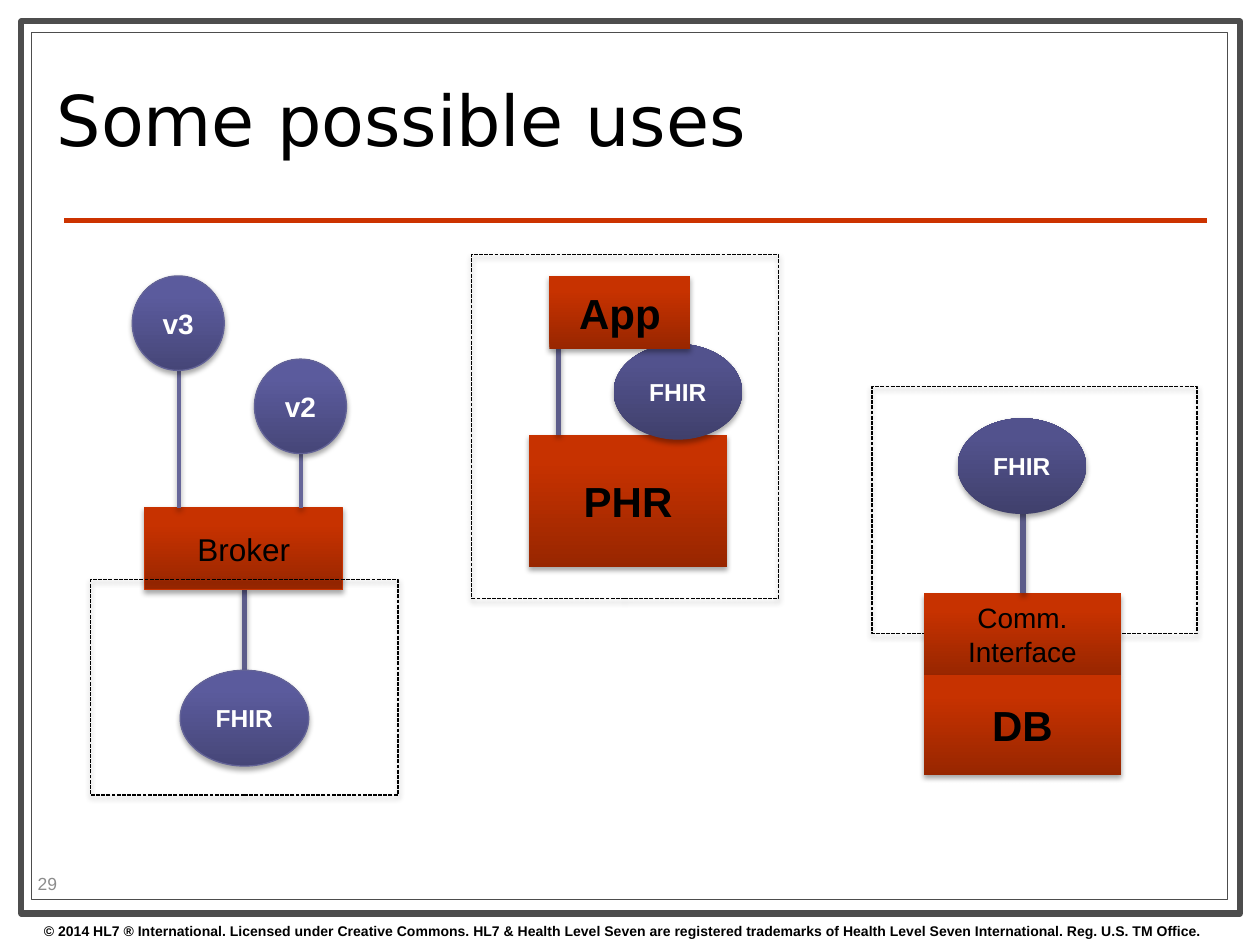
from lxml import etree
from pptx import Presentation
from pptx.dml.color import RGBColor
from pptx.enum.dml import MSO_LINE
from pptx.enum.shapes import MSO_CONNECTOR, MSO_SHAPE
from pptx.enum.text import MSO_ANCHOR, MSO_AUTO_SIZE, PP_ALIGN
from pptx.oxml.ns import qn
from pptx.util import Inches, Pt

RECTANGLE, OVAL = MSO_SHAPE.RECTANGLE, MSO_SHAPE.OVAL
STRAIGHT = MSO_CONNECTOR.STRAIGHT
DASHED = MSO_LINE.SQUARE_DOT
MIDDLE = MSO_ANCHOR.MIDDLE
LEFT, CENTER = PP_ALIGN.LEFT, PP_ALIGN.CENTER
FIXED = MSO_AUTO_SIZE.NONE

# Gradients run from the bottom colour to the top colour
RED = ("982600", "C73200")
PURPLE = ("464678", "5B5B9D")
DARK_PURPLE = ("40406C", "52528D")
FHIR_SIZE = (1.02, 0.76)
BLOCK_WIDTH = 1.57
NOTICE = ("© 2014 HL7 ® International. Licensed under Creative Commons. "
          "HL7 & Health Level Seven are registered trademarks of "
          "Health Level Seven International. Reg. U.S. TM Office.")


def color(hex_value):
    return RGBColor.from_string(hex_value)


def inches(*values):
    return [Inches(value) for value in values]


def within(box, left, top, width, height):
    """Turn offsets inside a region into a box on the page."""
    return box[0] + left, box[1] + top, width, height


def write(shape, text, size, font="Arial", ink="000000", bold=False,
          align=LEFT, anchor=MIDDLE, spacing=None):
    frame = shape.text_frame
    frame.word_wrap = True
    frame.auto_size = FIXED
    frame.vertical_anchor = anchor
    frame.text = text
    for para in frame.paragraphs:
        para.alignment = align
        para.line_spacing = spacing
        para.font.name = font
        para.font.size = Pt(size)
        para.font.bold = bold
        para.font.color.rgb = color(ink)


def set_shadow(shape, opacity=None, distance=1.8):
    """Give a soft shadow below, or none when no opacity is given."""
    effects = etree.SubElement(shape._element.spPr, qn("a:effectLst"))
    if opacity:
        outer = etree.SubElement(
            effects, qn("a:outerShdw"), blurRad=str(Pt(3.1)),
            dist=str(Pt(distance)), dir="5400000", rotWithShape="0")
        black = etree.SubElement(outer, qn("a:srgbClr"), val="000000")
        etree.SubElement(black, qn("a:alpha"), val=str(opacity * 1000))


def add_line(page, start, end, ink, weight):
    line = page.shapes.add_connector(STRAIGHT, *inches(*start, *end))
    line.line.color.rgb = color(ink)
    line.line.width = Pt(weight)
    return line


def add_link(page, box, x, top, bottom, ink="5C5C8A", weight=3):
    line = add_line(page, (box[0] + x, box[1] + top),
                    (box[0] + x, box[1] + bottom), ink, weight)
    set_shadow(line, 35)


def add_node(page, kind, box, text, gradient, size, edge=None, **style):
    node = page.shapes.add_shape(kind, *inches(*box))
    node.fill.gradient()
    node.fill.gradient_angle = 90
    for stop, position, shade in zip(node.fill.gradient_stops, (0, 0.8), gradient):
        stop.position = position
        stop.color.rgb = color(shade)
    if edge:
        node.line.color.rgb = color(edge)
        node.line.width = Pt(0.75)
    else:
        node.line.fill.background()
    set_shadow(node, 35)
    write(node, text, size, align=CENTER, **style)


def add_block(page, box, text, size=24, bold=True, edge=None):
    add_node(page, RECTANGLE, box, text, RED, size, edge, bold=bold)


def add_bubble(page, box, text, size=14, gradient=DARK_PURPLE, edge=None):
    add_node(page, OVAL, box, text, gradient, size, edge, ink="FFFFFF", bold=True)


def add_boundary(page, box):
    boundary = page.shapes.add_shape(RECTANGLE, *inches(*box))
    boundary.fill.background()
    boundary.line.color.rgb = color("000000")
    boundary.line.width = Pt(0.75)
    boundary.line.dash_style = DASHED
    set_shadow(boundary, 38, 1.6)


def add_page_frame(page, box):
    inner = within(box, 0.08, 0.09, box[2] - 0.18, box[3] - 0.2)
    for border, weight in ((box, 3.5), (inner, 0.75)):
        panel = page.shapes.add_shape(RECTANGLE, *inches(*border))
        panel.shadow.inherit = False
        panel.fill.solid()
        panel.fill.fore_color.rgb = color("FFFFFF")
        panel.line.color.rgb = color("4D4D4D")
        panel.line.width = Pt(weight)
    rule_y = box[1] + 1.58
    rule = add_line(page, (box[0] + 0.34, rule_y), (box[0] + 9.41, rule_y), "CC3300", 3)
    set_shadow(rule)


def add_title(page, box):
    title = page.shapes.title
    title.left, title.top, title.width, title.height = inches(*box)
    write(title, "Some possible uses", 40, font="DejaVu Sans", spacing=0.8)
    # The frame panels are drawn first, so the title goes above them
    page.shapes._spTree.append(title._element)


def add_label(page, box, text, size, **style):
    label = page.shapes.add_textbox(*inches(*box))
    write(label, text, size, **style)


def add_broker_use(page, box):
    add_link(page, box, 1.22, 3.13, 2.49)
    add_bubble(page, within(box, 0.71, 3.13, *FHIR_SIZE), "FHIR",
               gradient=PURPLE, edge="636397")
    add_block(page, within(box, 0.43, 1.84, BLOCK_WIDTH, 0.65), "Broker",
              size=18, bold=False, edge="C83200")
    add_boundary(page, within(box, 0, 2.41, box[2], box[3] - 2.41))
    for text, left, top in (("v3", 0.33, 0), ("v2", 1.3, 0.66)):
        add_link(page, box, left + 0.37, 1.84, top + 0.75, "666699", 2)
        add_bubble(page, within(box, left, top, 0.73, 0.75), text,
                   size=16, gradient=PURPLE, edge="636397")


def add_health_record_use(page, box):
    add_block(page, within(box, 0.46, 1.43, BLOCK_WIDTH, 1.05), "PHR")
    add_link(page, box, 0.69, 1.43, 0.72)
    add_boundary(page, box)
    add_bubble(page, within(box, 1.13, 0.71, *FHIR_SIZE), "FHIR")
    add_block(page, within(box, 0.62, 0.17, 1.12, 0.58), "App")


def add_database_use(page, box):
    add_boundary(page, within(box, 0, 0, box[2], 1.96))
    add_block(page, within(box, 0.41, 1.64, BLOCK_WIDTH, 0.65),
              "Comm.\nInterface", size=16, bold=False)
    add_block(page, within(box, 0.41, 2.29, BLOCK_WIDTH, 0.79), "DB")
    add_link(page, box, 1.2, 1.64, 1.01)
    add_bubble(page, within(box, 0.68, 0.25, *FHIR_SIZE), "FHIR")


def main():
    deck = Presentation()
    deck.slide_width, deck.slide_height = inches(10, 7.5)
    page = deck.slides.add_slide(deck.slide_layouts[5])
    add_page_frame(page, (0.17, 0.17, 9.67, 7.08))
    add_label(page, (0.25, 7.27, 10, 0.23), NOTICE, 8, bold=True)
    add_title(page, (0.35, 0.36, 7.17, 1.29))
    add_label(page, (0.2, 6.89, 0.79, 0.24), "29", 10, ink="8C8C8C")
    add_broker_use(page, (0.72, 2.19, 2.44, 4.12))
    add_health_record_use(page, (3.74, 2.02, 2.44, 2.73))
    add_database_use(page, (6.92, 3.07, 2.58, 3.08))
    deck.save("out.pptx")


if __name__ == "__main__":
    main()
